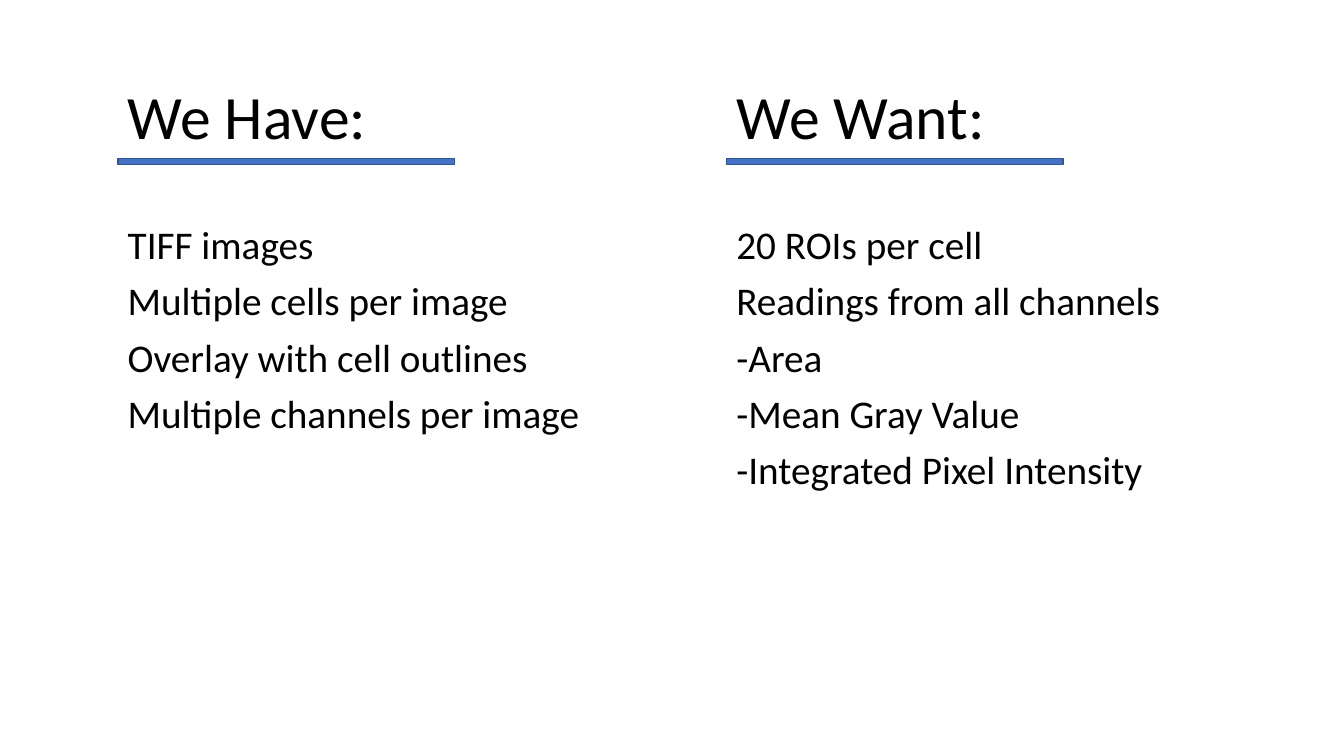
from pptx import Presentation
from pptx.dml.color import RGBColor
from pptx.enum.shapes import MSO_SHAPE
from pptx.enum.text import MSO_ANCHOR
from pptx.util import Cm, Pt

# Content: heading and lines of each column
COLUMNS = [
    ("We Have:", ["TIFF images", "Multiple cells per image",
                  "Overlay with cell outlines", "Multiple channels per image"]),
    ("We Want:", ["20 ROIs per cell", "Readings from all channels", "-Area",
                  "-Mean Gray Value", "-Integrated Pixel Intensity"]),
]

# Style and layout
BLACK = RGBColor(0x00, 0x00, 0x00)
BLUE = RGBColor(0x44, 0x72, 0xC4)
DARK_BLUE = RGBColor(0x32, 0x54, 0x91)
FONT = "Calibri"
FIRST_LEFT, COLUMN_STEP, COLUMN_WIDTH = Cm(2.97), Cm(15.34), Cm(12.6)
HEADING_TOP, HEADING_HEIGHT = Cm(1.17), Cm(3.68)
BODY_TOP, BODY_HEIGHT = Cm(5.56), Cm(12.09)
RULE_TOP, RULE_WIDTH, RULE_HEIGHT = Cm(3.99), Cm(8.48), Cm(0.15)


def add_text(slide, left, top, height, lines, size, anchor):
    text_box = slide.shapes.add_textbox(left, top, COLUMN_WIDTH, height)
    text_frame = text_box.text_frame
    text_frame.word_wrap = True
    text_frame.vertical_anchor = anchor
    text_frame.text = "\n".join(lines)
    for index, paragraph in enumerate(text_frame.paragraphs):
        paragraph.line_spacing = 0.9
        paragraph.space_before = Pt(10 if index else 0)
        font = paragraph.runs[0].font
        font.name = FONT
        font.size = Pt(size)
        font.color.rgb = BLACK


def add_rule(slide, left):
    rule = slide.shapes.add_shape(MSO_SHAPE.RECTANGLE, left, RULE_TOP,
                                  RULE_WIDTH, RULE_HEIGHT)
    rule.shadow.inherit = False
    rule.fill.solid()
    rule.fill.fore_color.rgb = BLUE
    rule.line.color.rgb = DARK_BLUE
    rule.line.width = Pt(1)


def main():
    presentation = Presentation()
    presentation.slide_width = Cm(33.87)
    presentation.slide_height = Cm(19.05)
    slide = presentation.slides.add_slide(presentation.slide_layouts[6])

    # Two columns: heading, underline, list
    for number, (heading, lines) in enumerate(COLUMNS):
        left = FIRST_LEFT + number * COLUMN_STEP
        add_text(slide, left, HEADING_TOP, HEADING_HEIGHT, [heading], 44,
                 MSO_ANCHOR.MIDDLE)
        add_text(slide, left, BODY_TOP, BODY_HEIGHT, lines, 28, MSO_ANCHOR.TOP)
        add_rule(slide, left)

    presentation.save("out.pptx")


if __name__ == "__main__":
    main()
